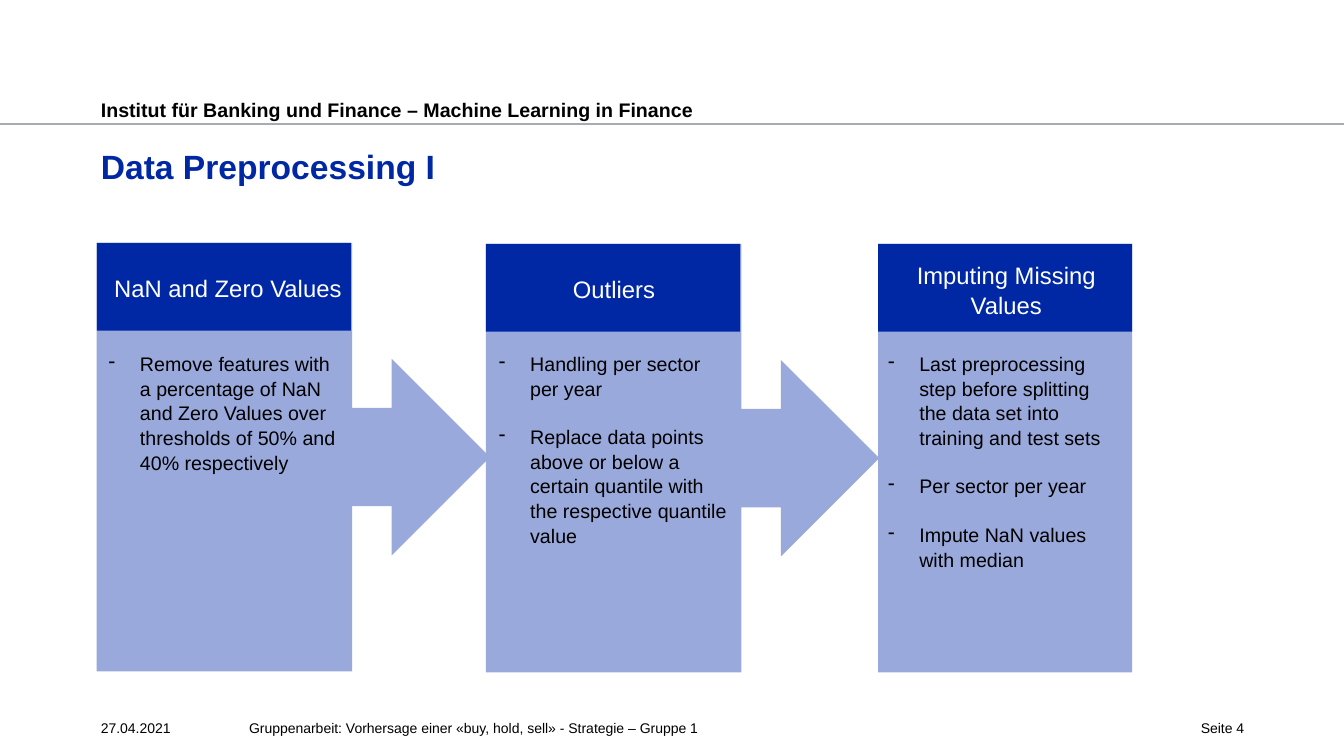
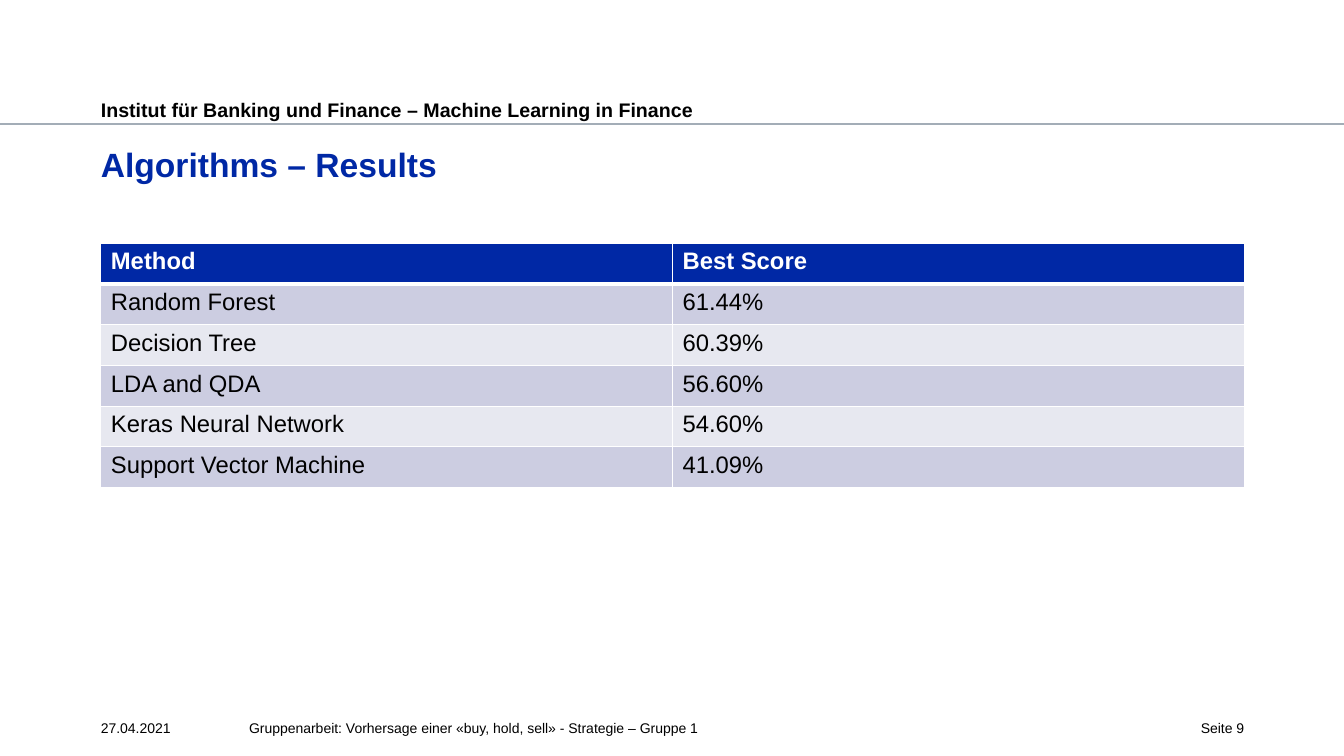
from pptx import Presentation
from pptx.dml.color import RGBColor
from pptx.enum.shapes import MSO_CONNECTOR, MSO_SHAPE
from pptx.enum.text import MSO_ANCHOR, PP_ALIGN
from pptx.oxml.ns import qn
from pptx.util import Pt
from lxml.etree import SubElement

PX = 9144
WIDTH, HEIGHT = 1333, 750
LEFT, CONTENT_WIDTH = 100, 1134
FONT = "Arial"
COLORS = {
    "blue": "0028A5",
    "light_blue": "99A9DB",
    "rule": "A3ADB7",
    "band_dark": "CCCDE1",
    "band_light": "E7E8F0",
    "black": "000000",
    "white": "FFFFFF",
}

INSTITUTE = "Institut für Banking und Finance – Machine Learning in Finance"
DATE = "27.04.2021"
FOOTER = "Gruppenarbeit: Vorhersage einer «buy, hold, sell» - Strategie – Gruppe 1"

PANEL_WIDTH, PANEL_HEIGHT, CALLOUT_WIDTH, HEADING_HEIGHT = 252, 425, 390, 87
BODY_TOP = 343
PANELS = [
    {
        "left": 96, "top": 241, "heading_left": 100, "heading_height": 39,
        "body_left": 98, "body_height": 180,
        "heading": "NaN and Zero Values",
        "bullets": [
            "Remove features with a percentage of NaN and Zero Values "
            "over thresholds of 50% and 40% respectively",
        ],
    },
    {
        "left": 482, "top": 242, "heading_left": 483, "heading_height": 39,
        "body_left": 485, "body_height": 256,
        "heading": "Outliers",
        "bullets": [
            "Handling per sector per year",
            "Replace data points above or below a certain quantile "
            "with the respective quantile value",
        ],
    },
    {
        "left": 871, "top": 242, "heading_left": 872, "heading_height": 67,
        "body_left": 871, "body_height": 279,
        "heading": "Imputing Missing Values",
        "bullets": [
            "Last preprocessing step before splitting the data set "
            "into training and test sets",
            "Per sector per year",
            "Impute NaN values with median",
        ],
    },
]

TABLE_TOP, TABLE_HEIGHT = 241, 243
RESULTS = [
    ("Method", "Best Score"),
    ("Random Forest", "61.44%"),
    ("Decision Tree", "60.39%"),
    ("LDA and QDA", "56.60%"),
    ("Keras Neural Network", "54.60%"),
    ("Support Vector Machine", "41.09%"),
]


def rgb(name):
    return RGBColor.from_string(COLORS[name])


def scaled(*lengths):
    return [length * PX for length in lengths]


def style(paragraph, size, color="black", bold=False):
    font = paragraph.font
    font.name, font.size, font.bold = FONT, Pt(size), bold
    font.color.rgb = rgb(color)


def add_text(page, area, lines, size, color="black", bold=False,
             align=PP_ALIGN.LEFT, insets=(0, 0, 0, 0), spacing=None):
    frame = page.shapes.add_textbox(*scaled(*area)).text_frame
    frame.word_wrap = True
    (frame.margin_left, frame.margin_top,
     frame.margin_right, frame.margin_bottom) = scaled(*insets)
    frame.text = "\n".join(lines)
    for paragraph in frame.paragraphs:
        style(paragraph, size, color, bold)
        paragraph.alignment = align
        paragraph.line_spacing = spacing
    return frame


def add_block(page, preset, area, color):
    block = page.shapes.add_shape(preset, *scaled(*area))
    block.shadow.inherit = False
    block.fill.solid()
    block.fill.fore_color.rgb = rgb(color)
    block.line.fill.background()


def add_page(deck, title, title_top, number):
    page = deck.slides.add_slide(deck.slide_layouts[6])
    rule = page.shapes.add_connector(
        MSO_CONNECTOR.STRAIGHT, *scaled(0, 123, WIDTH, 123))
    rule.line.color.rgb = rgb("rule")
    rule.line.width = Pt(1.25)
    SubElement(rule._element.spPr, qn("a:effectLst"))
    add_text(page, (LEFT, 93, 802, 25), [INSTITUTE], 14, bold=True,
             insets=(0, 4, 0, 0))
    add_text(page, (LEFT, title_top, CONTENT_WIDTH, 87), [title], 24,
             "blue", bold=True, insets=(0, 4, 0, 0))
    for left, width, text, align in (
        (LEFT, 136, DATE, PP_ALIGN.LEFT),
        (247, 766, FOOTER, PP_ALIGN.LEFT),
        (1143, 91, f"Seite {number}", PP_ALIGN.RIGHT),
    ):
        add_text(page, (left, 714, width, 24), [text], 10, align=align)
    return page


def add_bullets(frame):
    for index, paragraph in enumerate(frame.paragraphs):
        if index:
            paragraph.space_before = Pt(17)
        properties = paragraph._p.get_or_add_pPr()
        properties.set("marL", str(31 * PX))
        properties.set("indent", str(-31 * PX))
        bullet = properties.makeelement(qn("a:buChar"), {"char": "-"})
        properties.insert_element_before(
            bullet, "a:tabLst", "a:defRPr", "a:extLst")


def add_panel(page, panel, last):
    left, top = panel["left"], panel["top"]
    preset = MSO_SHAPE.RECTANGLE if last else MSO_SHAPE.RIGHT_ARROW_CALLOUT
    width = PANEL_WIDTH if last else CALLOUT_WIDTH
    add_block(page, preset, (left, top, width, PANEL_HEIGHT), "light_blue")
    add_block(page, MSO_SHAPE.RECTANGLE,
              (left, top, PANEL_WIDTH, HEADING_HEIGHT), "blue")
    height = panel["heading_height"]
    heading_top = top + (HEADING_HEIGHT - height) // 2
    insets = (10, 5, 10, 5)
    add_text(page, (panel["heading_left"], heading_top, PANEL_WIDTH, height),
             [panel["heading"]], 17, "white", align=PP_ALIGN.CENTER,
             insets=insets, spacing=1.05)
    body = (panel["body_left"], BODY_TOP, PANEL_WIDTH, panel["body_height"])
    add_bullets(add_text(page, body, panel["bullets"], 14,
                         insets=insets, spacing=1.05))


def add_borders(cell, is_header):
    properties = cell._tc.get_or_add_tcPr()
    for side in "LRTB":
        points = 3 if is_header and side == "B" else 1
        border = SubElement(properties, qn(f"a:ln{side}"), w=str(Pt(points)))
        fill = SubElement(border, qn("a:solidFill"))
        SubElement(fill, qn("a:srgbClr"), val=COLORS["white"])


def add_results(page):
    table = page.shapes.add_table(
        len(RESULTS), len(RESULTS[0]),
        *scaled(LEFT, TABLE_TOP, CONTENT_WIDTH, TABLE_HEIGHT)).table
    table.horz_banding = False
    for row, values in enumerate(RESULTS):
        is_header = row == 0
        band = "band_dark" if row % 2 else "band_light"
        for column, value in enumerate(values):
            cell = table.cell(row, column)
            cell.text = value
            cell.vertical_anchor = MSO_ANCHOR.TOP
            style(cell.text_frame.paragraphs[0], 17,
                  "white" if is_header else "black", is_header)
            add_borders(cell, is_header)
            cell.fill.solid()
            cell.fill.fore_color.rgb = rgb("blue" if is_header else band)


def main():
    deck = Presentation()
    deck.slide_width, deck.slide_height = scaled(WIDTH, HEIGHT)
    preprocessing = add_page(deck, "Data Preprocessing I", 141, 4)
    for panel in PANELS:
        add_panel(preprocessing, panel, last=panel is PANELS[-1])
    add_results(add_page(deck, "Algorithms – Results", 139, 9))
    deck.save("out.pptx")


if __name__ == "__main__":
    main()
